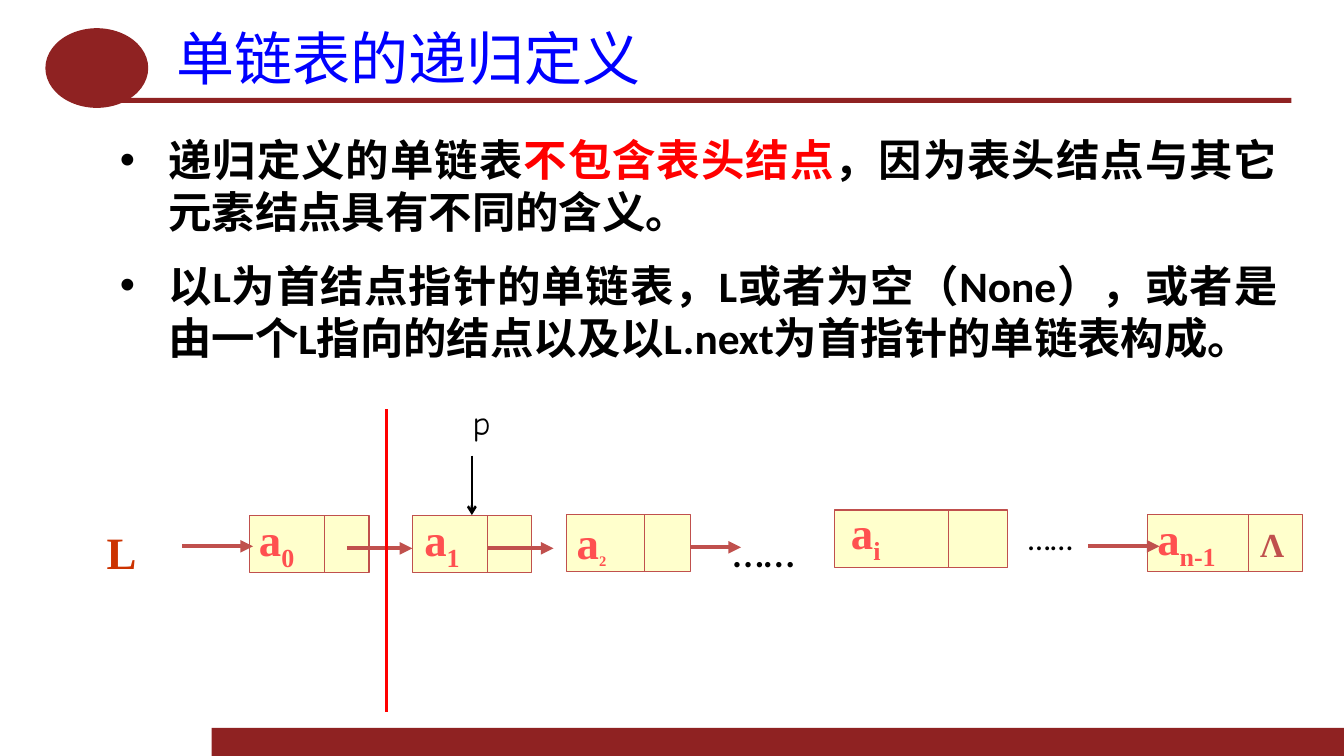
from lxml.etree import SubElement
from pptx import Presentation
from pptx.dml.color import RGBColor
from pptx.enum.shapes import MSO_CONNECTOR, MSO_SHAPE
from pptx.enum.text import MSO_ANCHOR, MSO_AUTO_SIZE, PP_ALIGN
from pptx.oxml.ns import qn
from pptx.util import Pt

PX = 9144  # 100 px to the inch

MAROON = RGBColor(0x8F, 0x22, 0x22)
BLUE = RGBColor(0x00, 0x00, 0xFF)
RED = RGBColor(0xFF, 0x00, 0x00)
BLACK = RGBColor(0x00, 0x00, 0x00)
CREAM = RGBColor(0xFF, 0xFF, 0xCC)
BRICK = RGBColor(0xC0, 0x50, 0x4D)
CORAL = RGBColor(0xFF, 0x50, 0x50)
RUST = RGBColor(0xCC, 0x33, 0x00)

TITLE_FORMAT = {"name": "Noto Sans CJK SC", "size": Pt(41.4), "bold": False}
BODY_FORMAT = {"name": "Calibri", "size": Pt(31), "bold": True}
SYMBOL_FORMAT = {"name": "Times New Roman", "size": Pt(32), "bold": True}
NIL_FORMAT = {**SYMBOL_FORMAT, "size": Pt(24)}
POINTER_FORMAT = {"name": "Comic Neue", "size": Pt(24)}

DEFINITION = [
    [("递归定义的单链表", BLACK), ("不包含表头结点", RED),
     ("，因为表头结点与其它元素结点具有不同的含义。", BLACK)],
    [("以L为首结点指针的单链表，L或者为空（None），或者是由一个L指向的结点"
      "以及以L.next为首指针的单链表构成。", BLACK)],
]

# left, top, width, divider x of each node
NODES = [
    (247, 511, 119, 322),
    (409, 511, 118, 484),
    (562, 510, 123, 639),
    (828, 506, 171, 941),
    (1138, 510, 154, 1238),
]
NODE_HEIGHT = 57

# left, top, width, wraps, subscript, subscript size
NODE_LABELS = [
    (247, 503, 58, False, "0", 32),
    (411, 503, 58, False, "1", 32),
    (562, 506, 51, False, "2", 18),
    (834, 496, 51, False, "i", 32),
    (1138, 502, 126, True, "n-1", 32),
]

# from x, to x, y
NEXT_ARROWS = [
    (181, 251, 542),
    (344, 409, 544),
    (484, 549, 544),
    (685, 735, 543),
    (1079, 1150, 542),
]


def place(shape, left, top, width, height):
    shape.left, shape.top = left * PX, top * PX
    shape.width, shape.height = width * PX, height * PX


def add_run(paragraph, text, color, formats):
    run = paragraph.add_run()
    run.text = text
    for attribute, value in formats.items():
        setattr(run.font, attribute, value)
    run.font.color.rgb = color
    SubElement(run.font._element, qn("a:ea")).set("typeface", formats["name"])
    return run


def add_block(slide, preset, box, fill, outline=None):
    block = slide.shapes.add_shape(preset, *(length * PX for length in box))
    block.shadow.inherit = False
    block.fill.solid()
    block.fill.fore_color.rgb = fill
    if outline is None:
        block.line.fill.background()
    else:
        block.line.color.rgb = outline
        block.line.width = Pt(0.75)
    return block


def add_line(slide, start, end, color, width, head=None):
    line = slide.shapes.add_connector(
        MSO_CONNECTOR.STRAIGHT, *(length * PX for length in start + end))
    line.line.color.rgb = color
    line.line.width = Pt(width)
    if head:
        SubElement(line.line._get_or_add_ln(), qn("a:tailEnd")).set("type", head)
    SubElement(line._element.spPr, qn("a:effectLst"))
    return line


def add_label(slide, box, text, color, formats, wraps=False):
    """Add a one-line label and return its paragraph."""
    label = slide.shapes.add_textbox(*(length * PX for length in box))
    frame = label.text_frame
    frame.word_wrap = wraps
    frame.auto_size = MSO_AUTO_SIZE.SHAPE_TO_FIT_TEXT
    add_run(frame.paragraphs[0], text, color, formats)
    return frame.paragraphs[0]


def add_node(slide, left, top, width, divider):
    node = add_block(slide, MSO_SHAPE.RECTANGLE, (left, top, width, NODE_HEIGHT),
                     CREAM, BRICK)
    add_line(slide, (divider, top), (divider, top + NODE_HEIGHT), BRICK, 0.75)
    return node


def add_node_label(slide, left, top, width, wraps, subscript, size):
    paragraph = add_label(slide, (left, top, width, 64), "a", CORAL,
                          SYMBOL_FORMAT, wraps)
    run = add_run(paragraph, subscript, CORAL, {**SYMBOL_FORMAT, "size": Pt(size)})
    run.font._element.set("baseline", "-25000")


def set_margins(frame):
    margins = {"margin_left": 13 * PX, "margin_right": 13 * PX,
               "margin_top": 6 * PX, "margin_bottom": 6 * PX,
               "word_wrap": True, "auto_size": MSO_AUTO_SIZE.NONE}
    for attribute, value in margins.items():
        setattr(frame, attribute, value)


def fill_title(title):
    place(title, 162, 21, 1119, 71)
    set_margins(title.text_frame)
    title.text_frame.vertical_anchor = MSO_ANCHOR.MIDDLE
    heading = title.text_frame.paragraphs[0]
    heading.alignment = PP_ALIGN.JUSTIFY
    add_run(heading, "单链表的递归定义", BLUE, TITLE_FORMAT)


def fill_definition(body):
    place(body, 106, 126, 1174, 532)
    frame = body.text_frame
    set_margins(frame)
    frame.vertical_anchor = MSO_ANCHOR.TOP
    for index, parts in enumerate(DEFINITION):
        clause = frame.add_paragraph() if index else frame.paragraphs[0]
        clause.alignment = PP_ALIGN.JUSTIFY
        clause.space_before = Pt(7.7 if index else 0)
        clause.space_after = Pt(7.7)
        properties = clause._p.get_or_add_pPr()
        properties.set("marL", str(48 * PX))
        properties.set("indent", str(-48 * PX))
        SubElement(properties, qn("a:buFont")).set("typeface", "Arial")
        SubElement(properties, qn("a:buChar")).set("char", "•")
        for text, color in parts:
            add_run(clause, text, color, BODY_FORMAT)


def add_frame(slide):
    """Add the maroon bars and the oval of the slide's design."""
    add_block(slide, MSO_SHAPE.RECTANGLE, (210, 722, 1123, 28), MAROON)
    add_block(slide, MSO_SHAPE.RECTANGLE, (118, 97, 1163, 5), MAROON)
    add_block(slide, MSO_SHAPE.OVAL, (45, 28, 102, 79), MAROON)


def add_linked_list(slide):
    nodes = [add_node(slide, *node) for node in NODES]
    for label in NODE_LABELS:
        add_node_label(slide, *label)
    for start, end, y in NEXT_ARROWS:
        add_line(slide, (start, y), (end, y), BRICK, 3, "triangle")

    add_label(slide, (1240, 515, 44, 51), "Λ", BRICK, NIL_FORMAT)
    add_label(slide, (96, 516, 50, 64), "L", RUST, SYMBOL_FORMAT)
    for box, size in [((717, 514, 117, 64), 32), ((1010, 509, 117, 49), 23)]:
        add_label(slide, box, "……", BLACK,
                  {"name": "Calibri", "size": Pt(size)}, wraps=True)

    add_label(slide, (459, 394, 38, 51), "p", BLACK, POINTER_FORMAT)
    pointer = add_line(slide, (468, 452), (468, 511), BLACK, 1.75, "arrow")
    pointer.end_connect(nodes[1], 0)
    add_line(slide, (383, 406), (383, 706), RED, 2.25)


def main():
    presentation = Presentation()
    presentation.slide_width = 1333 * PX
    presentation.slide_height = 750 * PX
    slide = presentation.slides.add_slide(presentation.slide_layouts[1])
    add_frame(slide)
    fill_definition(slide.placeholders[1])
    fill_title(slide.shapes.title)
    add_linked_list(slide)
    presentation.save("out.pptx")


if __name__ == "__main__":
    main()
